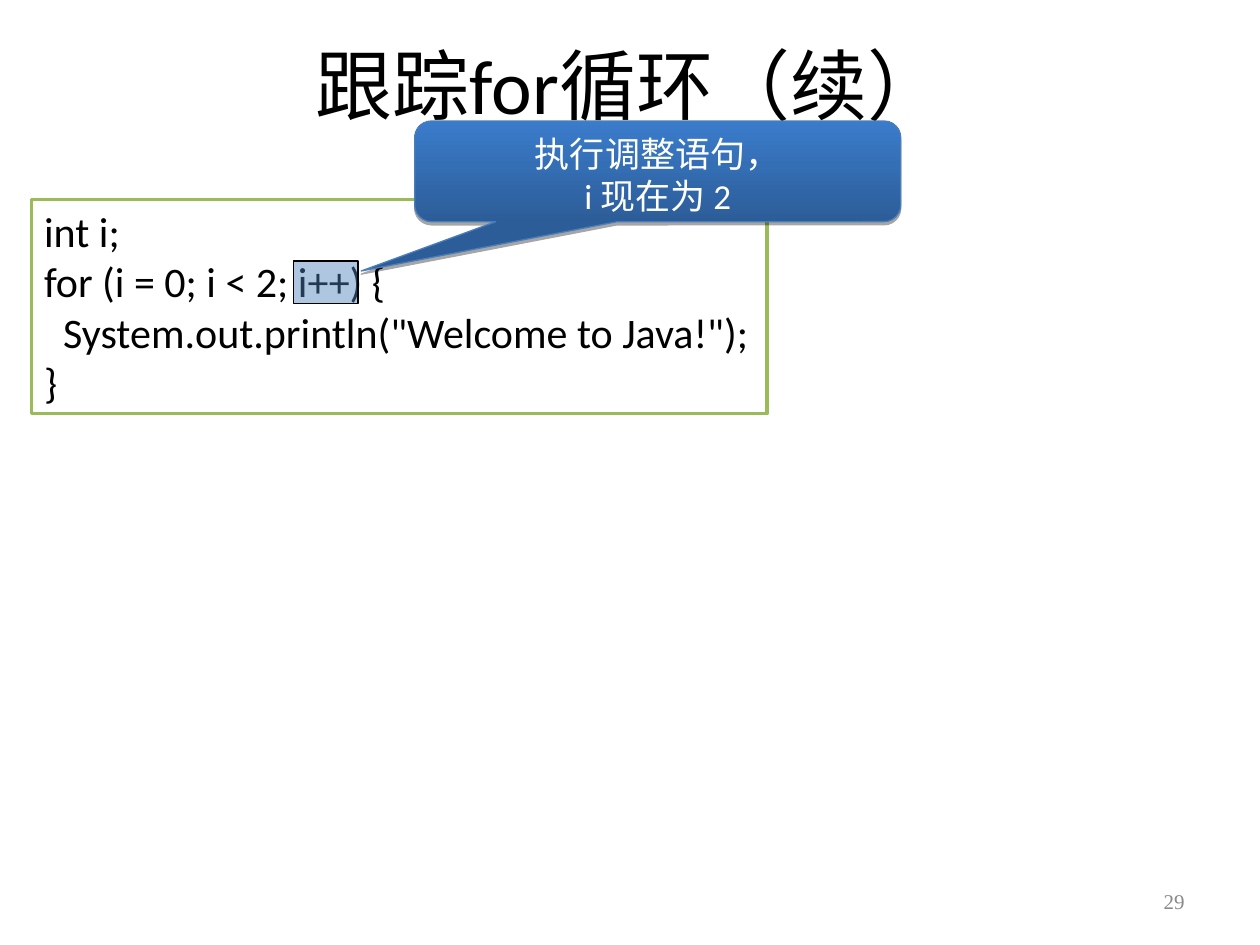
from lxml.etree import SubElement
from pptx import Presentation
from pptx.dml.color import RGBColor
from pptx.enum.shapes import MSO_SHAPE as Shape
from pptx.enum.text import MSO_ANCHOR as Anchor, PP_ALIGN as Align
from pptx.oxml.ns import qn
from pptx.util import Cm, Pt

CODE = [
    "int i;",
    "for (i = 0; i < 2; i++) {",
    '  System.out.println("Welcome to Java!");',
    "}",
]


def color(hex_code):
    return RGBColor.from_string(hex_code)


def set_alpha(color_element, percent):
    SubElement(color_element, qn("a:alpha"), val=str(percent * 1000))


def write_text(shape, lines, size, font="Calibri", fill="000000",
               align=Align.LEFT, anchor=Anchor.TOP):
    """Fill the shape with one paragraph per line."""
    frame = shape.text_frame
    frame.word_wrap = True
    frame.vertical_anchor = anchor
    frame.text = "\n".join(lines)
    for paragraph in frame.paragraphs:
        paragraph.alignment = align
        paragraph.font.size = Pt(size)
        paragraph.font.name = font
        paragraph.font.color.rgb = color(fill)


def add_text_box(slide, box, lines, size, **text_format):
    shape = slide.shapes.add_textbox(*map(Cm, box))
    write_text(shape, lines, size, **text_format)


def add_box(slide, kind, box, line, line_width, fill=None, opacity=100):
    shape = slide.shapes.add_shape(kind, *map(Cm, box))
    shape.shadow.inherit = False
    shape.line.color.rgb = color(line)
    shape.line.width = Pt(line_width)
    if fill:
        shape.fill.solid()
        shape.fill.fore_color.rgb = color(fill)
        if opacity < 100:
            fill_color = shape.element.spPr.find(qn("a:solidFill"))[0]
            set_alpha(fill_color, opacity)
    return shape


def set_gradient(shape, bottom, top):
    shape.fill.gradient()
    shape.fill.gradient_angle = 90
    for stop, hex_code in zip(shape.fill.gradient_stops, (bottom, top)):
        stop.color.rgb = color(hex_code)


def add_drop_shadow(shape, distance, opacity):
    effects = shape.element.spPr.find(qn("a:effectLst"))
    shadow = SubElement(effects, qn("a:outerShdw"), blurRad="0",
                        dist=str(Pt(distance)), dir="5400000", rotWithShape="0")
    set_alpha(SubElement(shadow, qn("a:srgbClr"), val="000000"), opacity)


def add_callout(slide, box, pointer, lines):
    """Add a speech bubble whose tip lies at the given relative offset."""
    callout = add_box(slide, Shape.ROUNDED_RECTANGULAR_CALLOUT, box, "4A7EBB", 0.75)
    callout.adjustments[0], callout.adjustments[1] = pointer
    set_gradient(callout, bottom="2C5D98", top="3A7CCB")
    add_drop_shadow(callout, distance=1.8, opacity=35)
    write_text(callout, lines, 20, fill="FFFFFF", align=Align.CENTER)


def main():
    presentation = Presentation()
    presentation.slide_width, presentation.slide_height = Cm(25.4), Cm(19.05)
    slide = presentation.slides.add_slide(presentation.slide_layouts[6])

    add_text_box(slide, (1.9, 0.64, 21.6, 2.11), ["跟踪for循环（续）"], 44,
                 align=Align.CENTER, anchor=Anchor.MIDDLE)
    add_text_box(slide, (18.2, 17.65, 5.93, 1.02), ["29"], 12,
                 font="Times New Roman", fill="898989",
                 align=Align.RIGHT, anchor=Anchor.MIDDLE)

    code_box = add_box(slide, Shape.RECTANGLE, (0.64, 4.02, 14.82, 4.32),
                       "9BBB59", 2, fill="FFFFFF")
    write_text(code_box, CODE, 24)
    add_box(slide, Shape.RECTANGLE, (5.92, 5.26, 1.3, 0.86),
            "000000", 1, fill="4F81BD", opacity=45)
    add_callout(slide, (8.36, 2.44, 9.8, 2.03), (-0.61, 0.99),
                ["执行调整语句，", "i 现在为 2"])

    presentation.save("out.pptx")


if __name__ == "__main__":
    main()
